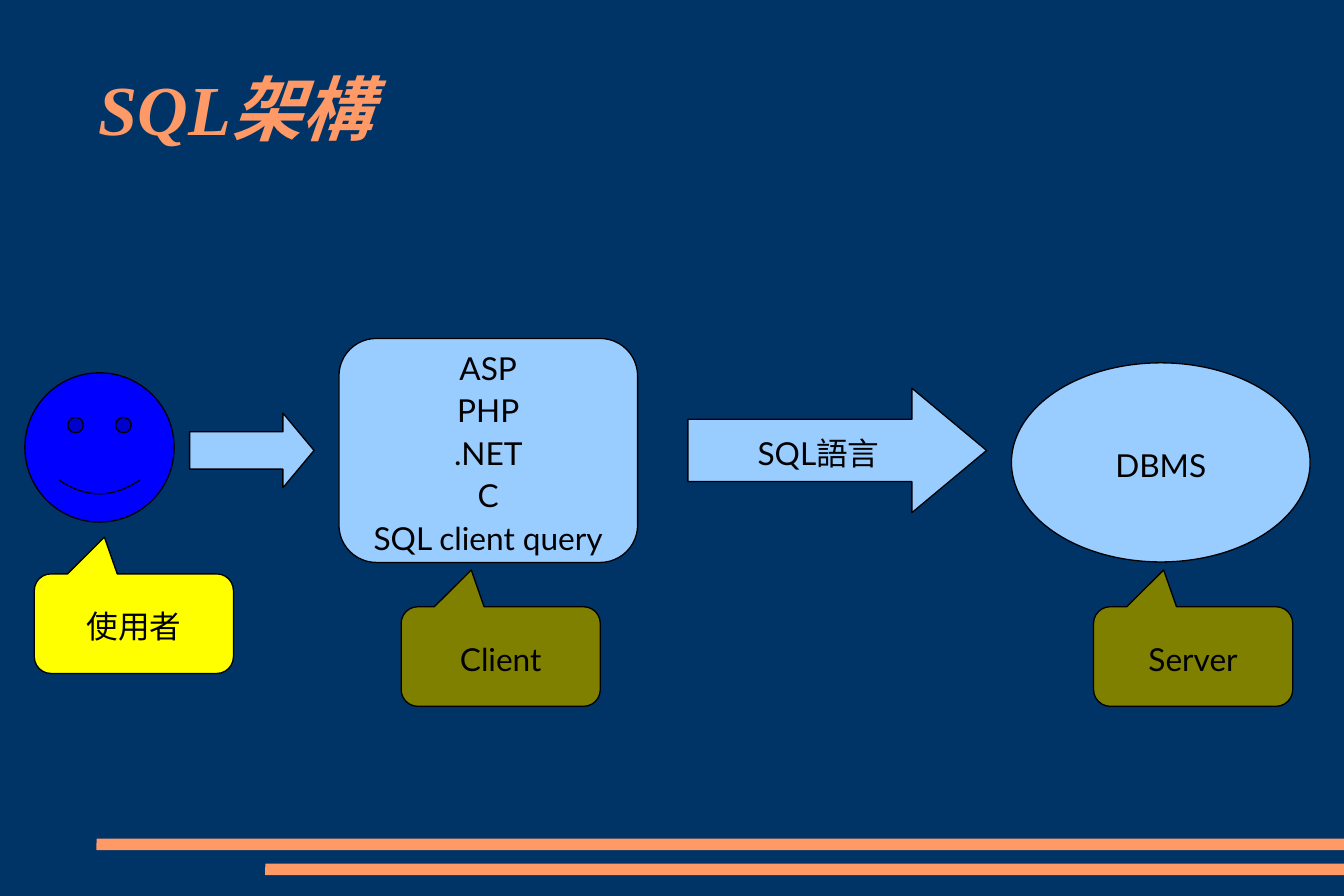
from pptx import Presentation
from pptx.dml.color import RGBColor
from pptx.enum import shapes, text
from pptx.util import Cm, Pt

NAVY = RGBColor(0x00, 0x33, 0x66)
ORANGE = RGBColor(0xFF, 0x99, 0x66)
SKY = RGBColor(0x99, 0xCC, 0xFF)
OLIVE = RGBColor(0x80, 0x80, 0x00)
YELLOW = RGBColor(0xFF, 0xFF, 0x00)
BLUE = RGBColor(0x00, 0x00, 0xFF)
BLACK = RGBColor(0x00, 0x00, 0x00)

KIND = shapes.MSO_SHAPE
WIDTH, HEIGHT = 27, 18
TITLE = "SQL架構"
TITLE_BOX = (1.98, 0.66, 23.06, 3)
TITLE_FONT = {"name": "Times New Roman", "size": Pt(40), "bold": True, "italic": True}
LABEL_FONT = {"name": "Lato", "size": Pt(18), "bold": False}
LABEL_FRAME = {"word_wrap": False, "vertical_anchor": text.MSO_ANCHOR.MIDDLE}
LABEL_PARAGRAPH = {"alignment": text.PP_ALIGN.CENTER, "line_spacing": 1.12}

CLIENT_LANGUAGES = ["ASP", "PHP", ".NET", "C", "SQL client query"]
STAGES = [
    (KIND.OVAL, (20.32, 7.29, 6, 4), SKY, [], ["DBMS"]),
    (KIND.RIGHT_ARROW, (13.82, 7.8, 6, 2.5), SKY, [0.5, 0.6], ["SQL語言"]),
    (KIND.ROUNDED_RECTANGLE, (6.81, 6.8, 6, 4.5), SKY, [0.167], CLIENT_LANGUAGES),
    (KIND.SMILEY_FACE, (0.5, 7.49, 3, 3), BLUE, [], []),
    (KIND.RIGHT_ARROW, (3.81, 8.3, 2.5, 1.5), SKY, [0.5, 0.417], []),
]
CALLOUT_SIZE = (4, 2)
CALLOUT_SHAPE = [-0.148, -0.869, 0.167]
CALLOUTS = [
    ("Client", (8.06, 12.19), OLIVE),
    ("Server", (21.97, 12.19), OLIVE),
    ("使用者", (0.69, 11.53), YELLOW),
]
FOOTER_BARS = [(1.94, 16.85), (5.33, 17.35)]
BAR_HEIGHT = 0.23


def apply(target, values):
    for name, value in values.items():
        setattr(target, name, value)


def add_figure(slide, kind, box, fill, adjustments, lines=(), outlined=True):
    shape = slide.shapes.add_shape(kind, *map(Cm, box))
    shape.shadow.inherit = False
    for index, value in enumerate(adjustments):
        shape.adjustments[index] = value
    shape.fill.solid()
    shape.fill.fore_color.rgb = fill
    if outlined:
        shape.line.color.rgb = BLACK
        shape.line.width = Pt(0.75)
    else:
        shape.line.fill.background()
    if lines:
        frame = shape.text_frame
        frame.text = "\n".join(lines)
        apply(frame, LABEL_FRAME)
        for paragraph in frame.paragraphs:
            apply(paragraph, LABEL_PARAGRAPH)
            apply(paragraph.runs[0].font, LABEL_FONT)
            paragraph.runs[0].font.color.rgb = BLACK


def add_title(slide):
    title = slide.shapes.title
    apply(title, dict(zip(("left", "top", "width", "height"), map(Cm, TITLE_BOX))))
    frame = title.text_frame
    frame.text = TITLE
    apply(frame, dict.fromkeys(
        ("margin_left", "margin_top", "margin_right", "margin_bottom"), Cm(0)))
    apply(frame, {"vertical_anchor": text.MSO_ANCHOR.MIDDLE,
                  "auto_size": text.MSO_AUTO_SIZE.NONE})
    paragraph = frame.paragraphs[0]
    paragraph.alignment = text.PP_ALIGN.LEFT
    apply(paragraph.runs[0].font, TITLE_FONT)
    paragraph.runs[0].font.color.rgb = ORANGE


def main():
    presentation = Presentation()
    apply(presentation, {"slide_width": Cm(WIDTH), "slide_height": Cm(HEIGHT)})
    slide = presentation.slides.add_slide(presentation.slide_layouts[5])
    slide.background.fill.solid()
    slide.background.fill.fore_color.rgb = NAVY
    add_title(slide)
    for left, top in FOOTER_BARS:
        add_figure(slide, KIND.ROUNDED_RECTANGLE, (left, top, WIDTH - left, BAR_HEIGHT),
                   ORANGE, [0.02], outlined=False)
    for stage in STAGES:
        add_figure(slide, *stage)
    for label, corner, fill in CALLOUTS:
        add_figure(slide, KIND.ROUNDED_RECTANGULAR_CALLOUT, corner + CALLOUT_SIZE,
                   fill, CALLOUT_SHAPE, [label])
    presentation.save("out.pptx")


if __name__ == "__main__":
    main()
